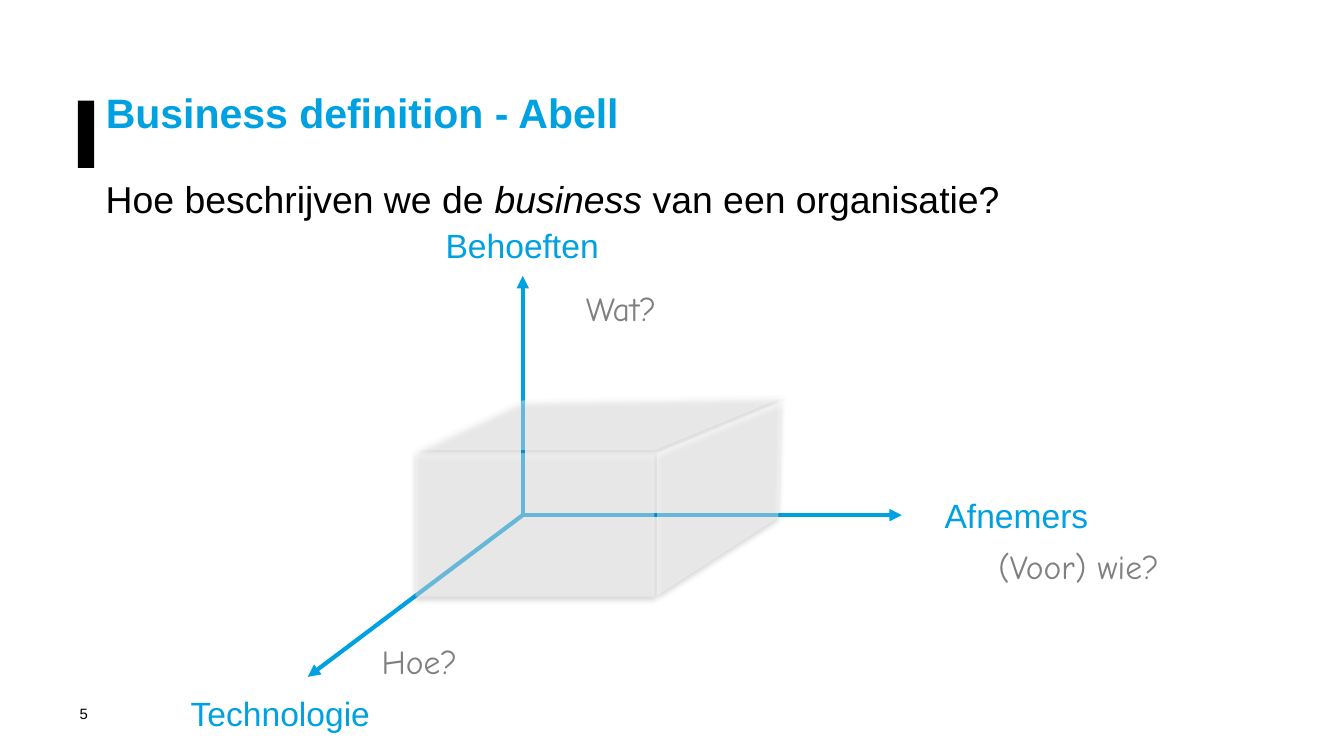
from lxml import etree
from pptx import Presentation
from pptx import util as u
from pptx.dml.color import RGBColor
from pptx.enum import shapes, text
from pptx.oxml import parse_xml
from pptx.oxml.ns import nsdecls, qn

BLUE = RGBColor(0x00, 0xA1, 0xE1)
BLACK = RGBColor(0x00, 0x00, 0x00)
WHITE = RGBColor(0xFF, 0xFF, 0xFF)
GREY = RGBColor(0x80, 0x80, 0x80)
COLUMNS, ROWS = 100, 56.25
SHADOW = (
    f'<a:effectLst {nsdecls("a")}><a:outerShdw blurRad="{u.Pt(3.1)}" dist="{u.Pt(1.6)}" '
    'dir="5400000" rotWithShape="0"><a:srgbClr val="000000"><a:alpha val="38000"/>'
    '</a:srgbClr></a:outerShdw></a:effectLst>'
)


class AxisSlide:
    """Draws styled elements on one slide, placed by grid columns and rows."""

    def __init__(self, deck):
        self.cell_w = deck.slide_width / COLUMNS
        self.cell_h = deck.slide_height / ROWS
        self.slide = deck.slides.add_slide(deck.slide_layouts[5])
        self.shapes = self.slide.shapes

    def place(self, *cells):
        sizes = (self.cell_w, self.cell_h) * 2
        return [round(cell * size) for cell, size in zip(cells, sizes)]

    def style(self, paragraph, size, color, face="Arial", bold=False):
        font = paragraph.font
        font.name, font.size, font.bold = face, u.Pt(size), bold
        font.color.rgb = color

    def block(self, holder, area, parts, size, color, bold=False):
        holder.left, holder.top, holder.width, holder.height = self.place(*area)
        frame = holder.text_frame
        frame.margin_left = frame.margin_right = frame.margin_top = frame.margin_bottom = 0
        frame.word_wrap = True
        frame.auto_size = text.MSO_AUTO_SIZE.NONE
        frame.vertical_anchor = text.MSO_ANCHOR.TOP
        paragraph = frame.paragraphs[0]
        paragraph.alignment = text.PP_ALIGN.LEFT
        paragraph.line_spacing = u.Pt(24)
        self.style(paragraph, size, color, bold=bold)
        for words, italic in parts:
            run = paragraph.add_run()
            run.text = words
            run.font.italic = italic

    def title(self, words, area):
        self.block(self.shapes.title, area, [(words, False)], 22, BLUE, bold=True)

    def body(self, parts, area):
        self.block(self.shapes.add_textbox(0, 0, 0, 0), area, parts, 20, BLACK)

    def label(self, words, area, color, size=18, face="Arial", wrap=False):
        frame = self.shapes.add_textbox(*self.place(*area)).text_frame
        frame.word_wrap = wrap
        frame.auto_size = text.MSO_AUTO_SIZE.SHAPE_TO_FIT_TEXT
        frame.text = words
        self.style(frame.paragraphs[0], size, color, face)

    def bar(self, area):
        bar = self.shapes.add_shape(shapes.MSO_SHAPE.RECTANGLE, *self.place(*area))
        bar.shadow.inherit = False
        bar.fill.solid()
        bar.fill.fore_color.rgb = BLACK
        bar.line.fill.background()

    def axes(self, origin, tips):
        group = self.shapes.add_group_shape()
        for tip in tips:
            axis = group.shapes.add_connector(
                shapes.MSO_CONNECTOR.STRAIGHT, *self.place(*origin, *tip))
            axis.line.color.rgb = BLUE
            axis.line.width = u.Pt(2.25)
            etree.SubElement(axis.line._get_or_add_ln(), qn("a:tailEnd"), type="triangle")
            etree.SubElement(axis._element.spPr, qn("a:effectLst"))

    def face(self, corners):
        start, *others = [self.place(*corner) for corner in corners]
        builder = self.shapes.build_freeform(*start)
        builder.add_line_segments(others, close=True)
        self.glass(builder.convert_to_shape())

    def front(self, area):
        self.glass(self.shapes.add_shape(shapes.MSO_SHAPE.RECTANGLE, *self.place(*area)))

    def glass(self, pane):
        pane.fill.solid()
        pane.fill.fore_color.rgb = WHITE
        pane.line.fill.background()
        properties = pane._element.spPr
        tint = properties.find(qn("a:solidFill")).find(qn("a:srgbClr"))
        etree.SubElement(tint, qn("a:alpha"), val="40000")
        properties.append(parse_xml(SHADOW))


def main():
    deck = Presentation()
    deck.slide_width = u.Inches(10)
    deck.slide_height = deck.slide_width * 9 // 16
    abell = AxisSlide(deck)
    abell.label("5", (4.95, 51.95, 40.2, 2.4), BLACK, size=8, wrap=True)
    abell.bar((5.8, 7.5, 1.2, 5))
    abell.title("Business definition - Abell", (7.87, 6.85, 82.6, 5))
    abell.body([("Hoe beschrijven we de ", False), ("business ", True),
                ("van een organisatie?", False)], (7.87, 13.1, 82.6, 36))

    abell.axes((38.9, 38.33), [(38.9, 20.53), (22.9, 50.37), (67.1, 38.33)])
    for dimension, area in (("Afnemers", (69.3, 36.35, 12.8, 4)),
                            ("Technologie", (13.2, 51.05, 15.5, 4)),
                            ("Behoeften", (32.17, 16.25, 13.5, 4))):
        abell.label(dimension, area, BLUE)

    abell.front((30.9, 33.7, 17.8, 10.7))
    abell.face([(38.9, 29.8), (58.4, 29.5), (48.7, 33.5), (30.9, 33.5)])
    abell.face([(48.9, 33.7), (58.1, 29.9), (57.9, 38.5), (48.9, 44.3)])

    for question, area in (("(Voor) wie?", (73.3, 40.15, 18.4, 4)),
                           ("Wat?", (42.6, 20.9, 8.9, 4)),
                           ("Hoe?", (27.4, 47.2, 8.8, 4))):
        abell.label(question, area, GREY, face="Comic Neue")
    deck.save("out.pptx")


if __name__ == "__main__":
    main()
